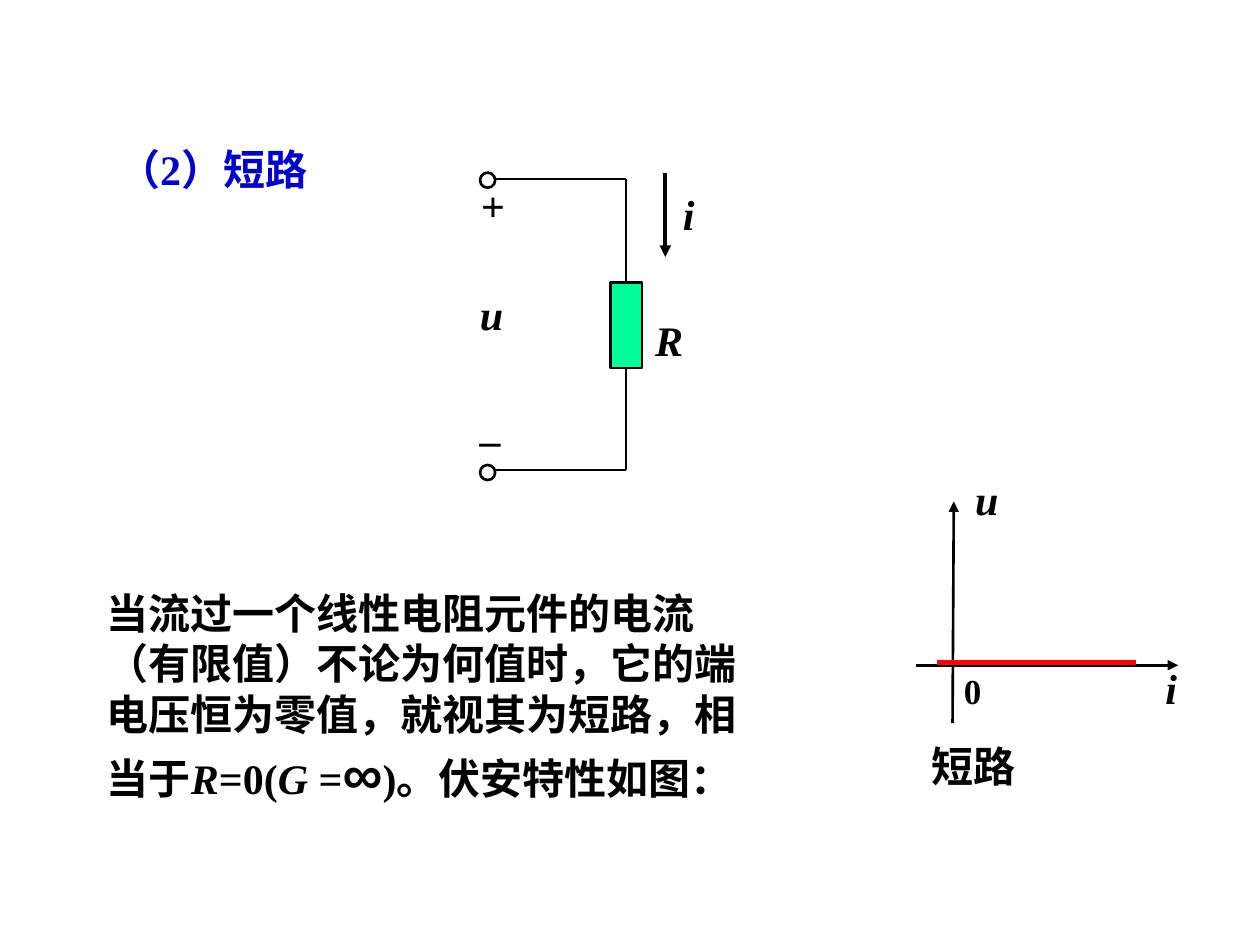
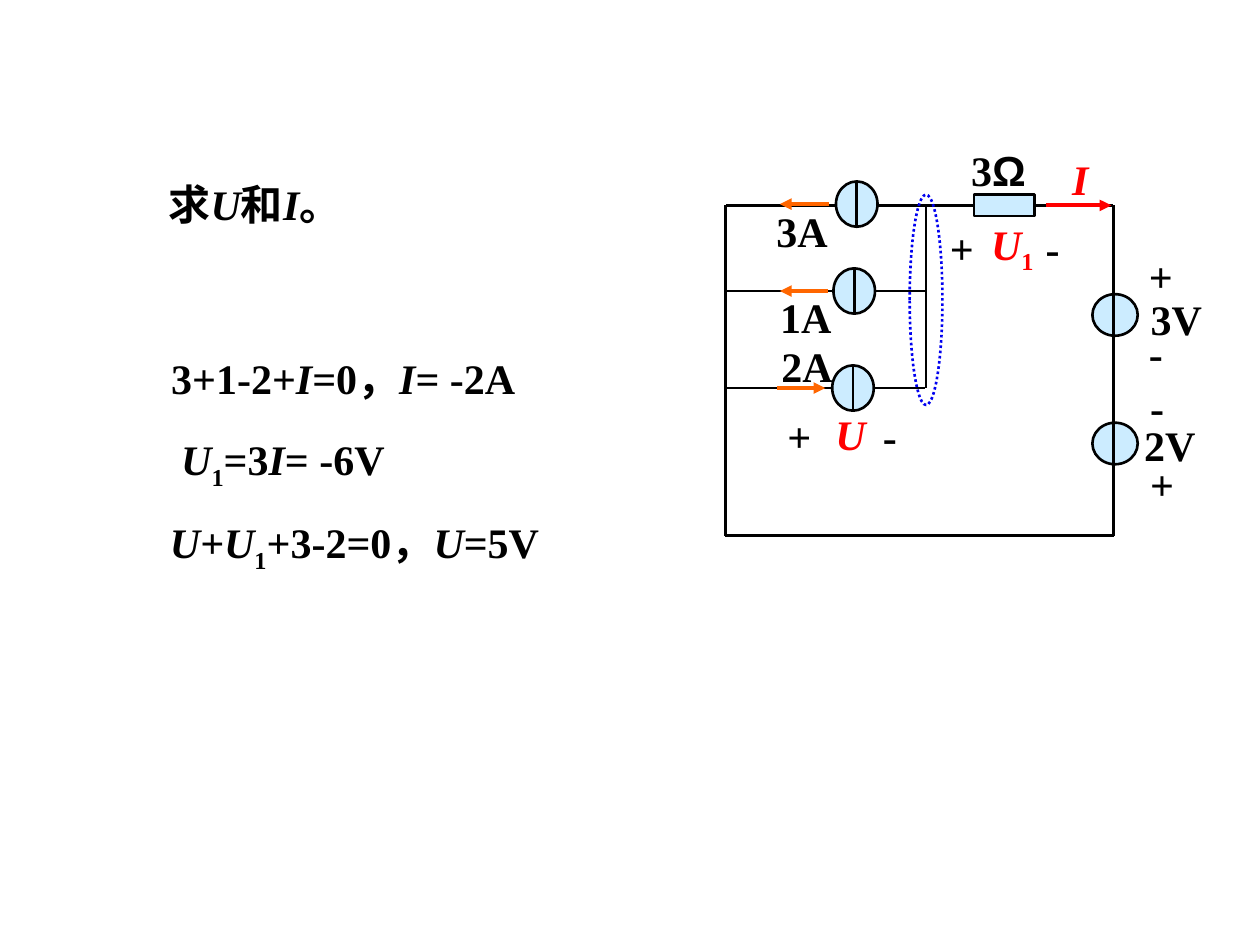
"""Build two slides on circuits: the short circuit, and solving for U and I."""
from lxml.etree import SubElement
from pptx import Presentation
from pptx.dml.color import RGBColor
from pptx.enum.dml import MSO_LINE
from pptx.enum.shapes import MSO_CONNECTOR, MSO_SHAPE
from pptx.enum.text import MSO_ANCHOR, MSO_AUTO_SIZE, PP_ALIGN
from pptx.oxml.ns import qn
from pptx.util import Inches, Pt

BLACK = RGBColor(0, 0, 0)
RED = RGBColor(0xFF, 0, 0)
ORANGE = RGBColor(0xFF, 0x66, 0)
HEADING_BLUE = RGBColor(0, 0, 0xD0)
DOT_BLUE = RGBColor(0, 0, 0xF0)
GREEN = RGBColor(0, 0xFF, 0x99)
PALE_BLUE = RGBColor(0xCC, 0xEC, 0xFF)

FONT = "Times New Roman"
SYMBOL_FONT = "Arial"
TEXT_SIZE = 24
ITALIC, SUBSCRIPT, SYMBOL, BIG_SYMBOL = "italic", "subscript", "symbol", "big symbol"

SHORT_HEADING = "（2）短路"
SHORT_BODY = [
    "当流过一个线性电阻元件的电流（有限值）不论为何值时，它的端电压恒为零值，就视其为短路，相当于",
    ("R", ITALIC), "=0(", ("G ", ITALIC), "=", ("∞", BIG_SYMBOL), ")。伏安特性如图：",
]
SHORT_SYMBOLS = [
    ("R", (5.1, 2.45, 0.42, 0.5)),
    ("i", (5.32, 1.45, 0.29, 0.5)),
    ("u", (3.71, 2.24, 0.38, 0.5)),
    ("–", (3.71, 3.23, 0.36, 0.5)),
    ("u", (7.64, 3.71, 0.38, 0.5)),
    ("i", (9.15, 5.21, 0.29, 0.5)),
]
TERMINAL_WIRES = [(1.43, 1.42), (3.75, 3.73)]
AXES = [((7.27, 5.28), (9.35, 5.28)), ((7.56, 5.74), (7.57, 3.98))]

TASK = ["求", ("U", ITALIC), "和", ("I", ITALIC), "。"]
SOLUTION = [
    ((1.26, 2.75, 3.5, 0.5), ["3+1-2+", ("I", ITALIC), "=0，", ("I", ITALIC), "= -2A"]),
    ((1.34, 3.39, 3.5, 0.56), [("U", ITALIC), ("1", SUBSCRIPT), "=3", ("I", ITALIC), "= -6V"]),
    ((1.25, 4.05, 3.5, 0.56),
     [("U+U", ITALIC), ("1", SUBSCRIPT), "+3-2=0，", ("U", ITALIC), "=5V"]),
]
BRANCHES = [
    (1.63, 7.73, (6.8, 1.62), 6.58, 6.19),
    (2.31, 7.34, (6.78, 2.31), 6.57, 6.19),
    (3.08, 7.34, (6.77, 3.08), 6.17, 6.55),
]
VOLTAGE_SOURCES = [(8.85, 2.5), (8.85, 3.52)]
VALUES = [
    ("3A", (6.04, 1.58, 0.65, 0.5)),
    ("1A", (6.09, 2.26, 0.61, 0.5)),
    ("2A", (6.1, 2.65, 0.61, 0.5)),
    ("3V", (9.01, 2.28, 0.65, 0.5)),
    ("2V", (8.98, 3.28, 0.61, 0.5)),
]
UNKNOWNS = [
    ([("U", ITALIC)], (6.48, 3.19, 0.54, 0.5)),
    ([("I", ITALIC)], (8.41, 1.17, 0.33, 0.5)),
    ([("U", ITALIC), ("1", SUBSCRIPT)], (7.73, 1.68, 0.61, 0.56)),
]
POLARITIES = [
    ((6.15, 3.21, 1.47, 0.5), ["+\t-"]),
    ((7.44, 1.72, 1.47, 0.5), ["+\t-"]),
    ((9.02, 1.94, 0.56, 1.11), ["+", "-"]),
    ((9.03, 2.98, 0.56, 1.11), ["-", "+"]),
]
MINUS_TAB = 0.76


def add_span(paragraph, text, style=None):
    span = paragraph.add_run()
    span.text = text
    if style == ITALIC:
        span.font.italic = True
    elif style == SUBSCRIPT:
        span.font._element.set("baseline", "-25000")
    elif style in (SYMBOL, BIG_SYMBOL):
        span.font.name = SYMBOL_FONT
        if style == BIG_SYMBOL:
            span.font.size = Pt(32)


def add_text(page, place, *paragraphs, color=BLACK, size=TEXT_SIZE, align=PP_ALIGN.LEFT,
             wrap=True, anchor=MSO_ANCHOR.MIDDLE):
    box = page.shapes.add_textbox(*map(Inches, place))
    frame = box.text_frame
    frame.word_wrap = wrap
    frame.auto_size = MSO_AUTO_SIZE.SHAPE_TO_FIT_TEXT
    frame.vertical_anchor = anchor
    for index, spans in enumerate(paragraphs):
        paragraph = frame.add_paragraph() if index else frame.paragraphs[0]
        if "\t" in spans:
            tabs = SubElement(paragraph._p.get_or_add_pPr(), qn("a:tabLst"))
            SubElement(tabs, qn("a:tab"), pos=str(Inches(MINUS_TAB)), algn="l")
        if index:
            paragraph.space_before = Pt(15)
        paragraph.alignment = align
        paragraph.font.name = FONT
        paragraph.font.size = Pt(size)
        paragraph.font.bold = True
        paragraph.font.color.rgb = color
        for span in [spans] if isinstance(spans, str) else spans:
            add_span(paragraph, *([span] if isinstance(span, str) else span))
    return box


def add_label(page, place, spans, **options):
    return add_text(page, place, spans, align=PP_ALIGN.CENTER, wrap=False, **options)


def add_line(page, start, end, color=BLACK, width=1.5, arrow=False):
    line = page.shapes.add_connector(MSO_CONNECTOR.STRAIGHT, *map(Inches, start + end))
    line.line.color.rgb = color
    line.line.width = Pt(width)
    if arrow:
        SubElement(line.line._get_or_add_ln(), qn("a:tailEnd"), type="triangle")
    SubElement(line._element.spPr, qn("a:effectLst"))
    return line


def add_part(page, kind, center, size, fill=None, color=BLACK):
    corner = [middle - length / 2 for middle, length in zip(center, size)]
    part = page.shapes.add_shape(kind, *map(Inches, (*corner, *size)))
    part.shadow.inherit = False
    if fill is None:
        part.fill.background()
    else:
        part.fill.solid()
        part.fill.fore_color.rgb = fill
    part.line.color.rgb = color
    part.line.width = Pt(1.5)
    return part


def build_short_circuit(page):
    resistor = add_part(page, MSO_SHAPE.RECTANGLE, (4.97, 2.58), (0.25, 0.68), GREEN)
    for (terminal_y, wire_y), side in zip(TERMINAL_WIRES, (0, 2)):
        add_part(page, MSO_SHAPE.OVAL, (3.87, terminal_y), (0.12, 0.12))
        add_line(page, (4.97, wire_y), (3.93, wire_y))
        lead = add_line(page, (4.97, 2.58), (4.97, wire_y))
        lead.begin_connect(resistor, side)
    add_line(page, (5.28, 1.37), (5.28, 2.04), width=2.25, arrow=True)
    for start, end in AXES:
        add_line(page, start, end, arrow=True)
    for symbol, place in SHORT_SYMBOLS:
        add_label(page, place, [(symbol, ITALIC)])
    add_label(page, (3.74, 1.4, 0.39, 0.5), [("+", ITALIC)]).rotation = 90
    add_label(page, (7.55, 5.26, 0.34, 0.44), "0", size=20)
    add_text(page, (7.13, 5.83, 1.2, 0.5), "短路", align=PP_ALIGN.CENTER)
    add_text(page, (0.84, 1.09, 1.94, 0.5), SHORT_HEADING, color=HEADING_BLUE)
    add_text(page, (0.75, 4.61, 5.51, 1.84), SHORT_BODY)
    add_line(page, (7.44, 5.26), (9.02, 5.26), RED, 3)


def build_exercise(page):
    for wire_y, wire_end, center, arrow_start, arrow_end in BRANCHES:
        center_x, center_y = center
        add_line(page, (wire_end, wire_y), (5.76, wire_y))
        add_part(page, MSO_SHAPE.OVAL, center, (0.33, 0.36), PALE_BLUE)
        add_line(page, (center_x, center_y - 0.18), (center_x, center_y + 0.18))
        add_line(page, (arrow_start, center_y), (arrow_end, center_y), ORANGE, 2.25, True)
    for center in VOLTAGE_SOURCES:
        add_part(page, MSO_SHAPE.OVAL, center, (0.36, 0.33), PALE_BLUE)
    for wire_x, bottom in ((5.76, 4.25), (7.35, 3.08), (8.84, 4.25)):
        add_line(page, (wire_x, 1.63), (wire_x, bottom))
    add_line(page, (5.75, 4.25), (8.84, 4.25))
    resistor = add_part(page, MSO_SHAPE.RECTANGLE, (7.97, 1.63), (0.48, 0.17), PALE_BLUE)
    add_line(page, (8.21, 1.63), (8.83, 1.63)).begin_connect(resistor, 3)
    add_line(page, (8.3, 1.63), (8.82, 1.63), RED, 2.25, True)
    for value, place in VALUES:
        add_label(page, place, value)
    for unknown, place in UNKNOWNS:
        add_label(page, place, unknown, color=RED)
    add_text(page, (7.61, 1.1, 0.68, 0.5), ["3", ("Ω", SYMBOL)])
    add_text(page, (1.24, 1.17, 1.78, 0.9), TASK)
    for place, equation in SOLUTION:
        add_text(page, place, equation)
    node = add_part(page, MSO_SHAPE.OVAL, (7.35, 2.38), (0.26, 1.67), color=DOT_BLUE)
    node.line.dash_style = MSO_LINE.ROUND_DOT
    for place, signs in POLARITIES:
        add_text(page, place, *signs, anchor=MSO_ANCHOR.TOP)


def main():
    deck = Presentation()
    deck.slide_width, deck.slide_height = Inches(10), Inches(7.5)
    for build in (build_short_circuit, build_exercise):
        build(deck.slides.add_slide(deck.slide_layouts[6]))
    deck.save("out.pptx")


if __name__ == "__main__":
    main()
